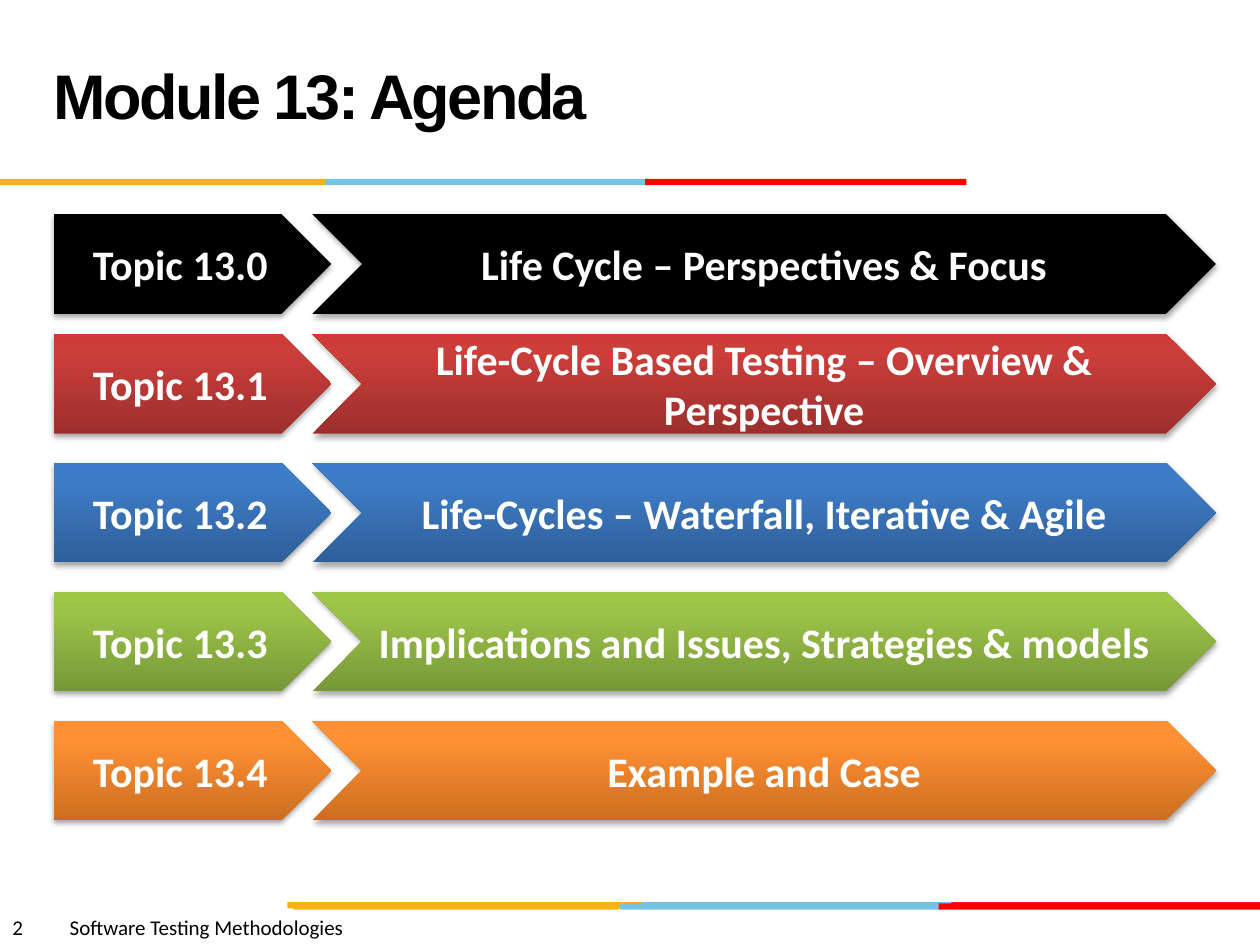
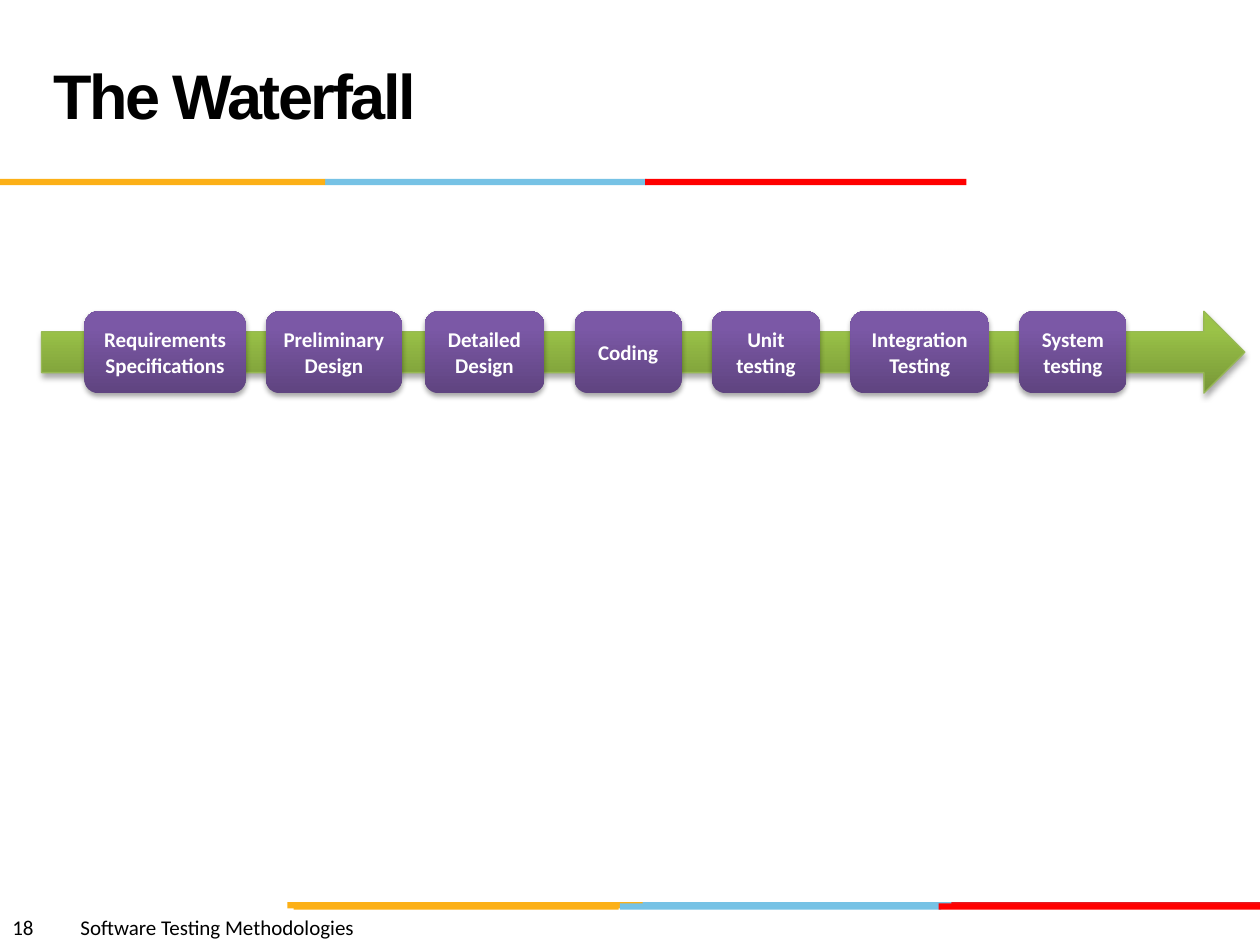
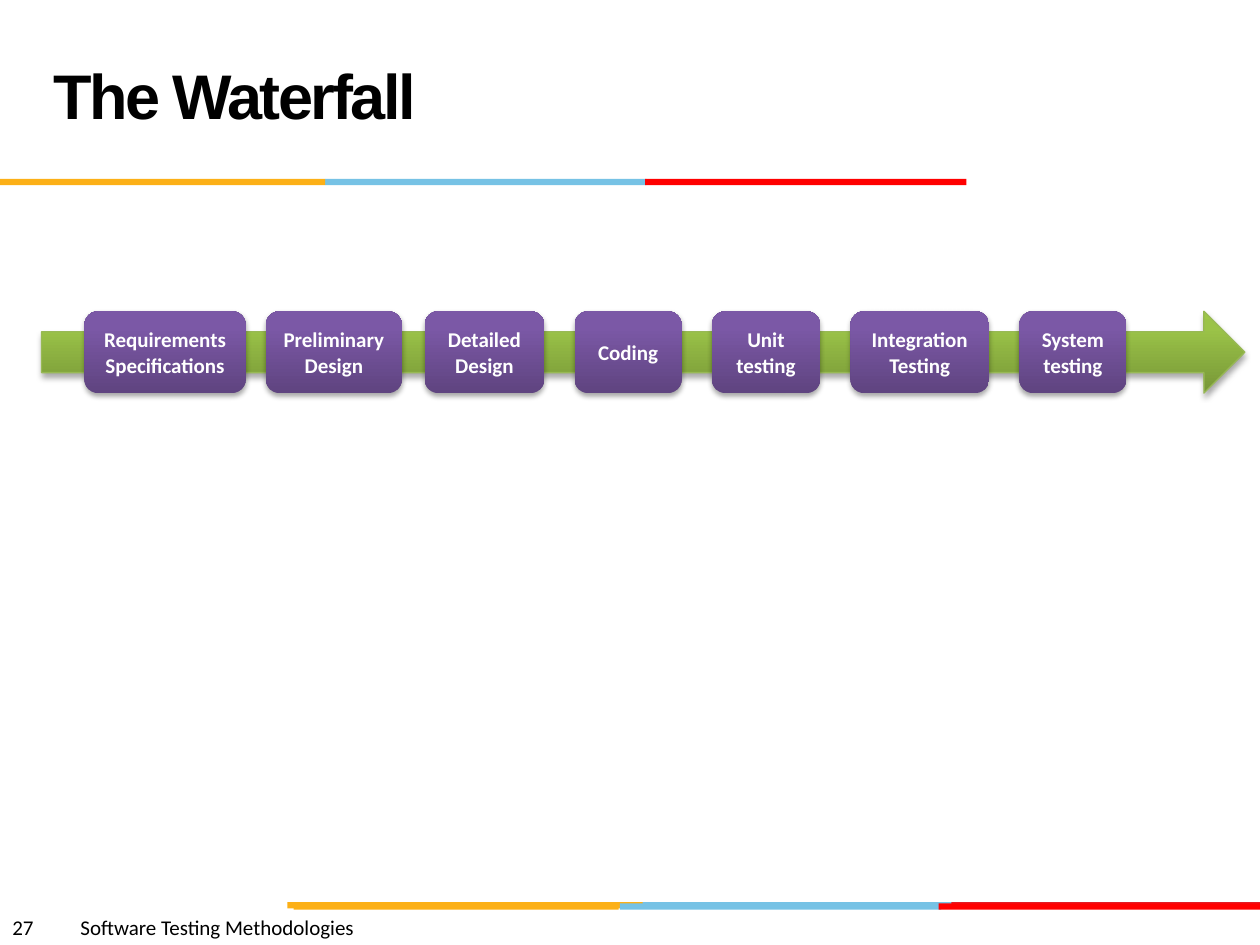
import copy
import dataclasses

import lxml.etree
import pptx
import pptx.dml.color
import pptx.enum.shapes
import pptx.enum.text
import pptx.oxml.ns
import pptx.util

Inches = pptx.util.Inches
Pt = pptx.util.Pt
qn = pptx.oxml.ns.qn
SHAPE = pptx.enum.shapes.MSO_SHAPE
CENTER = pptx.enum.text.PP_ALIGN.CENTER
MIDDLE = pptx.enum.text.MSO_ANCHOR.MIDDLE


@dataclasses.dataclass(frozen=True)
class Theme:
    """Colours, gradients (bottom, upper, top), fonts and type sizes."""
    black: str = "000000"
    white: str = "FFFFFF"
    amber: str = "FCB017"
    sky: str = "76C2E5"
    crimson: str = "E31C24"
    scarlet: str = "FF0000"
    arrow_edge: str = "98B955"
    red: tuple = ("9C2F2D", "CB3E3A", "CE3B37")
    blue: tuple = ("2F5F99", "3D7CC7", "3A7CCB")
    green: tuple = ("779737", "9BC348", "9DC746")
    orange: tuple = ("CC6E20", "FF9034", "FF9136")
    purple: tuple = ("5F4480", "7B58A6", "7C57A8")
    title_font: str = "Arial"
    body_font: str = "Calibri"
    title_size: int = 36
    topic_size: int = 24
    small_size: int = 12


THEME = Theme()
COURSE = "Software Testing Methodologies"
TOPICS = [
    ("Life Cycle – Perspectives & Focus", THEME.black),
    ("Life-Cycle Based Testing – Overview & Perspective", THEME.red),
    ("Life-Cycles – Waterfall, Iterative & Agile", THEME.blue),
    ("Implications and Issues, Strategies & models", THEME.green),
    ("Example and Case", THEME.orange),
]
PHASES = [
    ("Requirements Specifications", 0.34, 1.28),
    ("Preliminary Design", 1.78, 1.08),
    ("Detailed\nDesign", 3.04, 0.95),
    ("Coding", 4.23, 0.85),
    ("Unit\ntesting", 5.32, 0.86),
    ("Integration Testing", 6.42, 1.1),
    ("System testing", 7.76, 0.85),
]
BANDS = [
    (7.16, [(5.06, 2.55, THEME.sky), (7.55, 2.45, THEME.crimson), (2.28, 2.82, THEME.amber)]),
    (7.17, [(4.92, 2.55, THEME.sky), (2.33, 2.58, THEME.amber), (7.45, 2.55, THEME.scarlet)]),
    (1.42, [(2.58, 2.55, THEME.sky), (0, 2.58, THEME.amber), (5.12, 2.55, THEME.scarlet)]),
]


def rgb(colour):
    """Return the RGB colour for a hex string."""
    return pptx.dml.color.RGBColor.from_string(colour)


def style_font(font, name, size, colour, bold=False):
    """Set the face, size, colour and weight of a font."""
    font.name, font.size, font.bold = name, Pt(size), bold
    font.color.rgb = rgb(colour)


def paint(shape, fill):
    """Fill a shape with one colour or a three-stop vertical gradient."""
    if isinstance(fill, str):
        shape.fill.solid()
        shape.fill.fore_color.rgb = rgb(fill)
        return
    shape.fill.gradient()
    shape.fill.gradient_angle = 90
    stops = shape._element.spPr.find(qn("a:gradFill")).find(qn("a:gsLst"))
    stops.insert(1, copy.deepcopy(stops[0]))
    for stop, position, colour in zip(shape.fill.gradient_stops, (0, 0.8, 1), fill):
        stop.position = position
        stop.color.rgb = rgb(colour)


def cast_shadow(shape):
    """Add a soft shadow below a shape."""
    effects = shape._element.spPr.find(qn("a:effectLst"))
    outer = lxml.etree.SubElement(
        effects, qn("a:outerShdw"), blurRad=str(Pt(3.1)), dist=str(Pt(1.8)),
        dir="5400000", rotWithShape="0")
    tint = lxml.etree.SubElement(outer, qn("a:srgbClr"), val=THEME.black)
    lxml.etree.SubElement(tint, qn("a:alpha"), val="35000")


def add_block(slide, kind, box, fill, edge=None, shadow=True):
    """Add a preset shape in a box given in inches."""
    block = slide.shapes.add_shape(kind, *map(Inches, box))
    paint(block, fill)
    if edge:
        block.line.color.rgb = rgb(edge)
        block.line.width = Pt(0.75)
    else:
        block.line.fill.background()
    block.shadow.inherit = False
    if shadow:
        cast_shadow(block)
    return block


def add_label_block(slide, kind, box, fill, label, size):
    """Add a shape with a centred bold white label."""
    frame = add_block(slide, kind, box, fill).text_frame
    frame.word_wrap = True
    frame.vertical_anchor = MIDDLE
    frame.text = label
    for paragraph in frame.paragraphs:
        paragraph.alignment = CENTER
        style_font(paragraph.font, THEME.body_font, size, THEME.white, True)


def add_title(slide, title, box):
    """Add the slide title."""
    frame = slide.shapes.add_textbox(*map(Inches, box)).text_frame
    frame.word_wrap = True
    frame.vertical_anchor = MIDDLE
    heading = frame.paragraphs[0]
    heading.line_spacing = Pt(36)
    run = heading.add_run()
    run.text = title
    run._r.get_or_add_rPr().set("spc", "-150")
    style_font(heading.font, THEME.title_font, THEME.title_size, THEME.black, True)


def add_footer(slide, number, box):
    """Add the slide number and course name, a fixed gap apart."""
    frame = slide.shapes.add_textbox(*map(Inches, box)).text_frame
    frame.word_wrap = True
    footer = frame.paragraphs[0]
    footer.text = f"{number}\t{COURSE}"
    tabs = lxml.etree.SubElement(footer._p.get_or_add_pPr(), qn("a:tabLst"))
    course_start = Inches(0.37 + 0.085 * len(str(number)))
    lxml.etree.SubElement(tabs, qn("a:tab"), pos=str(course_start), algn="l")
    style_font(footer.font, THEME.body_font, THEME.small_size, THEME.black)


def add_framed_slide(deck, number, title):
    """Add a blank slide with colour bands, footer and title."""
    slide = deck.slides.add_slide(deck.slide_layouts[6])
    for top, stripes in BANDS:
        for left, width, colour in stripes:
            add_block(slide, SHAPE.RECTANGLE, (left, top, width, 0.05), colour, shadow=False)
    add_footer(slide, number, (0, 7.21, 5, 0.3))
    add_title(slide, title, (0.33, 0.17, 6.92, 1.25))
    return slide


def add_agenda(slide, box):
    """Add one tag and one chevron per topic, the first row set closer."""
    left, top, width, height = box
    row_height, tag_width, chevron_offset, pitch = 0.79, 2.2, 2.05, 1.023
    last_top = top + height - row_height
    for index, (topic, fill) in enumerate(TOPICS):
        row_top = last_top - pitch * (len(TOPICS) - 1 - index) if index else top
        add_label_block(slide, SHAPE.PENTAGON, (left, row_top, tag_width, row_height),
                        fill, f"Topic 13.{index}", THEME.topic_size)
        add_label_block(slide, SHAPE.CHEVRON,
                        (left + chevron_offset, row_top, width - chevron_offset, row_height),
                        fill, topic, THEME.topic_size)


def add_waterfall(slide, box):
    """Add the arrow and the phases lying on it."""
    left, top, _, height = box
    add_block(slide, SHAPE.RIGHT_ARROW, box, THEME.green, THEME.arrow_edge)
    for phase, offset, width in PHASES:
        add_label_block(slide, SHAPE.FLOWCHART_ALTERNATE_PROCESS,
                        (left + offset, top, width, height),
                        THEME.purple, phase, THEME.small_size)


def main():
    """Build and save the deck."""
    deck = pptx.Presentation()
    deck.slide_width, deck.slide_height = Inches(10), Inches(7.5)
    add_agenda(add_framed_slide(deck, 2, "Module 13: Agenda"), (0.43, 1.7, 9.22, 4.81))
    for number in (18, 27):
        add_waterfall(add_framed_slide(deck, number, "The Waterfall"), (0.33, 2.47, 9.55, 0.65))
    deck.save("out.pptx")


if __name__ == "__main__":
    main()
